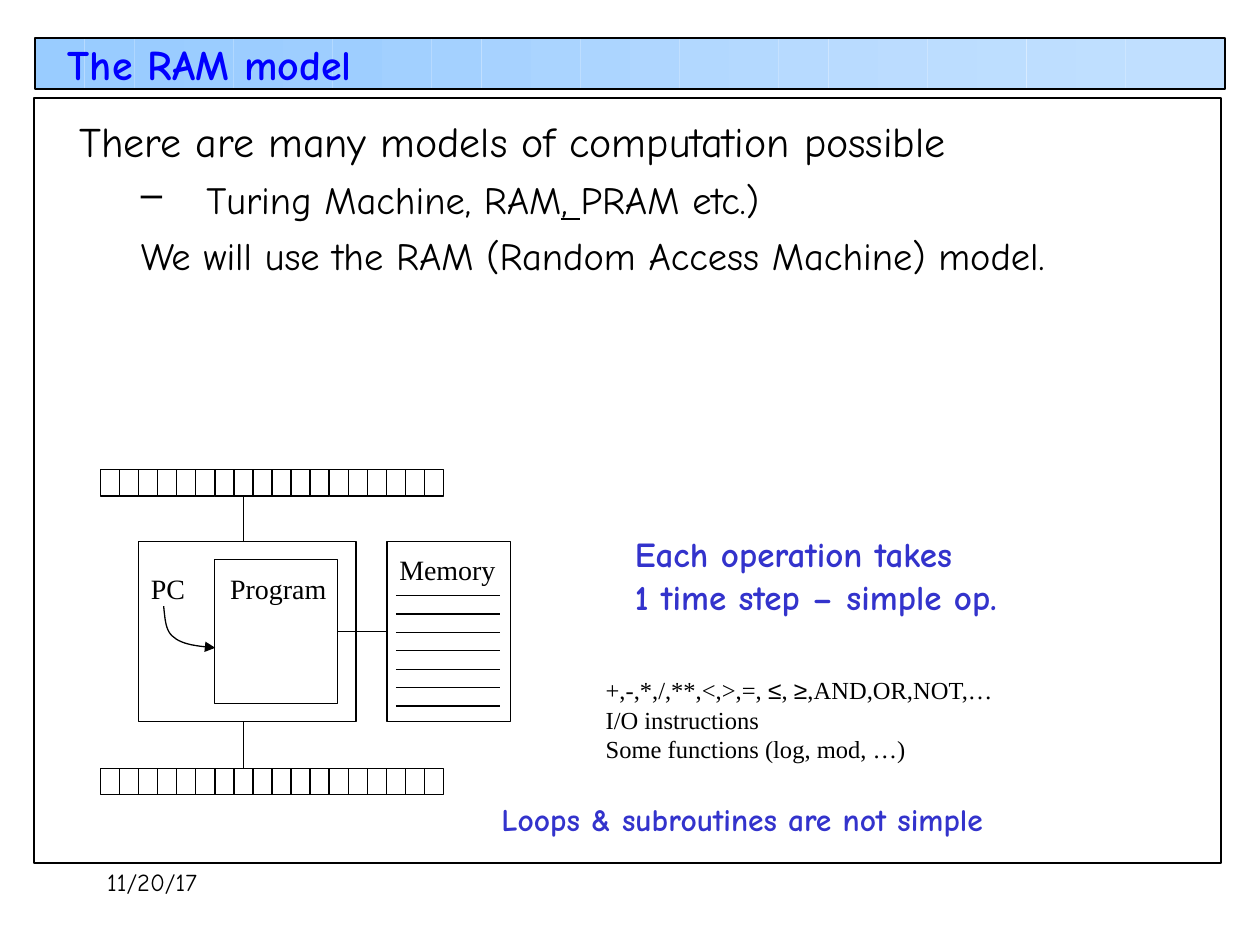
from lxml.etree import SubElement
from pptx import Presentation
from pptx.dml.color import RGBColor
from pptx.enum.shapes import MSO_CONNECTOR, MSO_SHAPE
from pptx.enum.text import MSO_ANCHOR, MSO_AUTO_SIZE
from pptx.oxml.ns import qn
from pptx.util import Cm, Pt

THEME = {
    "ink": "000000", "title": "0000FF", "accent": "3333CC",
    "hand": "Comic Neue", "serif": "Times New Roman", "symbol": "Arial",
    "thin": 0.75, "frame": 1.25,
    "strips": (
        "99CCFF 99CCFF 9ACCFF 9BCDFF 9CCDFF 9ECEFF 9ECEFF A2D0FF "
        "A4D1FF A7D2FF AAD4FF ACD5FF AFD6FF B2D8FF B4D9FF B7DAFF "
        "B9DBFF BBDCFF BCDDFF BDDEFF BEDEFF BFDFFF C0DFFF C0DFFF"
    ).split(),
}
STYLES = {
    "date": ("hand", 14, "ink", False),
    "title": ("hand", 24, "title", True),
    "lead": ("hand", 24, "ink", False),
    "point": ("hand", 22, "ink", False),
    "ops": ("serif", 14, "ink", False),
    "label": ("serif", 16, "ink", False),
    "claim": ("hand", 20, "accent", True),
    "note": ("hand", 18, "accent", True),
}

TITLE_BAR = (0.71, 0.76, 23.98, 1.04)
BODY_FRAME = (0.69, 1.98, 23.93, 15.42)
BODY_BOX = (1.32, 2.21, 23.01, 5.54)
BODY = [
    ("lead", ["There are many models of computation possible"], 0, 0.97, -0.94, 6, None),
    ("point", ["Turing Machine, RAM", ", ", "PRAM etc.)"], 1, 2.59, -1.32, 5.5, "–"),
    ("point", ["We will use the RAM (Random Access Machine) model."], 1, 2.59, -1.32, 5.5, None),
]
FIXED_TEXTS = [
    ("date", (1.91, 17.35, 5.28, 1.27), [["11/20/17"]]),
    ("title", (1.12, 0.64, 15.37, 1.27), [["The RAM model"]]),
]
FITTED_TEXTS = [
    ("ops", (11.96, 13.49, 8.59, 2.03), [
        ["+,-,*,/,**,<,>,=, ", "≤", ", ", "≥", ",AND,OR,NOT,…"],
        ["I/O instructions"],
        ["Some functions (log, mod, …)"],
    ]),
    ("label", (4.39, 11.4, 2.44, 0.94), [["Program"]]),
    ("label", (2.79, 11.4, 1.19, 0.94), [["PC"]]),
    ("label", (7.8, 11.02, 2.44, 0.94), [["Memory"]]),
    ("claim", (12.55, 10.62, 8.76, 1.96), [["Each operation takes"], ["1 time step – simple op."]]),
    ("note", (9.86, 16, 11.71, 1.02), [["Loops & subroutines are not simple"]]),
]
PROGRAM = (4.32, 11.28, 2.49, 2.91)
CPU = (2.79, 10.92, 4.39, 3.63)
MEMORY = (7.8, 10.92, 2.49, 3.63)
MEMORY_LINES = {"left": 7.98, "right": 10.08, "top": 12.01, "step": 0.37, "count": 7}
TAPE = {"left": 2.03, "width": 6.91, "height": 0.53, "count": 18, "head": 7}
INPUT_TOP, OUTPUT_TOP = 9.47, 15.49
PC_ARROW = [
    [(3.3, 12.22), (3.33, 12.47), (3.33, 12.73), (3.51, 12.85)],
    [(3.51, 12.85), (3.68, 13), (4.01, 13.03), (4.34, 13.06)],
]
CURVE_STEPS = 12


def color(name):
    return RGBColor.from_string(THEME.get(name, name))


def set_line(line, width):
    line.color.rgb = color("ink")
    line.width = Pt(width)


def add_rect(s, box, fill=None, width=None):
    sp = s.shapes.add_shape(MSO_SHAPE.RECTANGLE, *map(Cm, box))
    sp.shadow.inherit = False
    if fill:
        sp.fill.solid()
        sp.fill.fore_color.rgb = color(fill)
    else:
        sp.fill.background()
    if width:
        set_line(sp.line, width)
    else:
        sp.line.fill.background()
    return sp


def add_line(s, x1, y1, x2, y2):
    cx = s.shapes.add_connector(MSO_CONNECTOR.STRAIGHT, *map(Cm, (x1, y1, x2, y2)))
    set_line(cx.line, THEME["thin"])
    SubElement(cx._element.spPr, qn("a:effectLst"))
    return cx


def write(p, parts, style):
    font, size, ink, bold = STYLES[style]
    p.text = parts[0]
    for part in parts[1:]:
        p.add_run().text = part
    for r in p.runs:
        r.font.name = THEME["symbol" if r.text in "≤≥" else font]
        r.font.size = Pt(size)
        r.font.bold = bold
        r.font.color.rgb = color(ink)


def add_text(s, style, box, lines, fitted=False):
    tf = s.shapes.add_textbox(*map(Cm, box)).text_frame
    tf.word_wrap = not fitted
    tf.auto_size = MSO_AUTO_SIZE.SHAPE_TO_FIT_TEXT if fitted else MSO_AUTO_SIZE.NONE
    tf.text = "\n".join("" for _ in lines)
    for p, parts in zip(tf.paragraphs, lines):
        write(p, parts, style)
    return tf


def add_body(s):
    tf = add_text(s, "point", BODY_BOX, [parts for _, parts, *_ in BODY])
    for p, (style, parts, level, margin, indent, before, bullet) in zip(tf.paragraphs, BODY):
        write(p, parts, style)
        p.level = level
        p.space_before = Pt(before)
        pPr = p._p.get_or_add_pPr()
        pPr.set("marL", str(Cm(margin)))
        pPr.set("indent", str(Cm(indent)))
        if bullet:
            SubElement(pPr, qn("a:buChar")).set("char", bullet)
        for r in p.runs:
            r.font.underline = r.text == ", "


def add_tape(s, top):
    step = TAPE["width"] / TAPE["count"]
    return [add_rect(s, (TAPE["left"] + i * step, top, step, TAPE["height"]), width=THEME["thin"])
            for i in range(TAPE["count"])]


def bezier(points, t):
    weights = ((1 - t) ** 3, 3 * t * (1 - t) ** 2, 3 * t * t * (1 - t), t ** 3)
    return tuple(Cm(sum(w * pt[axis] for w, pt in zip(weights, points))) for axis in (0, 1))


def add_pc_arrow(s):
    points = [bezier(curve, i / CURVE_STEPS) for curve in PC_ARROW for i in range(1, CURVE_STEPS + 1)]
    builder = s.shapes.build_freeform(*bezier(PC_ARROW[0], 0))
    builder.add_line_segments(points, close=False)
    sp = builder.convert_to_shape()
    sp.shadow.inherit = False
    sp.fill.background()
    set_line(sp.line, THEME["thin"])
    SubElement(sp.line._get_or_add_ln(), qn("a:tailEnd")).set("type", "triangle")


def add_machine(s):
    program, cpu, memory = (add_rect(s, box, width=THEME["thin"]) for box in (PROGRAM, CPU, MEMORY))
    middle = PROGRAM[1] + PROGRAM[3] / 2
    bus = add_line(s, PROGRAM[0] + PROGRAM[2], middle, MEMORY[0], middle)
    bus.begin_connect(program, 3)
    bus.end_connect(memory, 1)
    for i in range(MEMORY_LINES["count"]):
        y = MEMORY_LINES["top"] + i * MEMORY_LINES["step"]
        add_line(s, MEMORY_LINES["left"], y, MEMORY_LINES["right"], y)
    head_x = TAPE["left"] + (TAPE["head"] + 0.5) * TAPE["width"] / TAPE["count"]
    input_cells, output_cells = add_tape(s, INPUT_TOP), add_tape(s, OUTPUT_TOP)
    reader = add_line(s, head_x, INPUT_TOP + TAPE["height"], head_x, CPU[1])
    reader.begin_connect(input_cells[TAPE["head"]], 2)
    writer = add_line(s, head_x, CPU[1] + CPU[3], head_x, OUTPUT_TOP)
    writer.end_connect(output_cells[TAPE["head"]], 0)
    add_pc_arrow(s)


def main():
    prs = Presentation()
    prs.slide_width, prs.slide_height = Cm(25.4), Cm(19.05)
    s = prs.slides.add_slide(prs.slide_layouts[6])
    left, top, width, height = TITLE_BAR
    step = width / len(THEME["strips"])
    for i, fill in enumerate(THEME["strips"]):
        add_rect(s, (left + i * step, top, step, height), fill)
    for box in (TITLE_BAR, BODY_FRAME):
        add_rect(s, box, width=THEME["frame"])
    add_machine(s)
    for style, box, lines in FIXED_TEXTS:
        tf = add_text(s, style, box, lines)
        if style == "title":
            tf.vertical_anchor = MSO_ANCHOR.MIDDLE
    add_body(s)
    for style, box, lines in FITTED_TEXTS:
        add_text(s, style, box, lines, fitted=True)
    prs.save("out.pptx")


if __name__ == "__main__":
    main()
